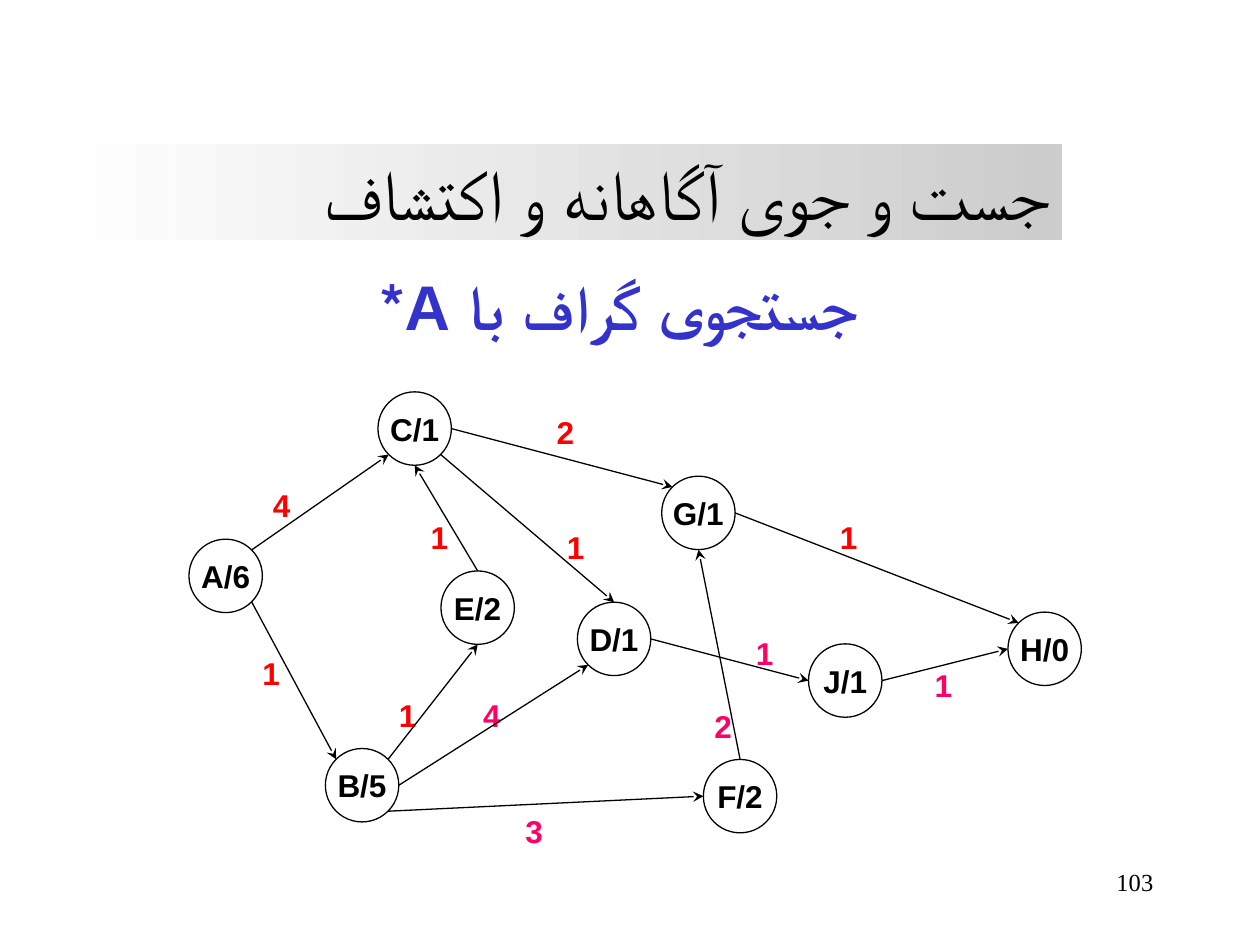
from dataclasses import dataclass
from enum import Enum
from math import sqrt

from lxml.etree import SubElement
from pptx import Presentation
from pptx.dml.color import RGBColor
from pptx.enum.shapes import MSO_CONNECTOR, MSO_SHAPE
from pptx.enum.text import MSO_ANCHOR, MSO_AUTO_SIZE, PP_ALIGN
from pptx.oxml.ns import qn
from pptx.shapes.shapetree import SlideShapes
from pptx.text.text import TextFrame
from pptx.util import Cm, Pt

BLACK = RGBColor(0x00, 0x00, 0x00)
WHITE = RGBColor(0xFF, 0xFF, 0xFF)
GREY = RGBColor(0xCC, 0xCC, 0xCC)
BLUE = RGBColor(0x33, 0x33, 0xCC)
RED = RGBColor(0xFF, 0x00, 0x00)
PINK = RGBColor(0xFF, 0x00, 0x66)

NODE_SIZE = 1.48
DIAGONAL = sqrt(0.5)


class Side(Enum):
    """Point on a node's rim, as a direction from its centre."""
    TOP = (0, -1)
    BOTTOM = (0, 1)
    LEFT = (-1, 0)
    RIGHT = (1, 0)
    TOP_LEFT = (-DIAGONAL, -DIAGONAL)
    TOP_RIGHT = (DIAGONAL, -DIAGONAL)
    BOTTOM_LEFT = (-DIAGONAL, DIAGONAL)
    BOTTOM_RIGHT = (DIAGONAL, DIAGONAL)


@dataclass(frozen=True)
class Node:
    """State with its heuristic value; left and top in cm."""
    name: str
    heuristic: int
    left: float
    top: float

    def rim(self, side: Side) -> tuple[Cm, Cm]:
        radius = NODE_SIZE / 2
        dx, dy = side.value
        return (Cm(self.left + radius * (1 + dx)),
                Cm(self.top + radius * (1 + dy)))


@dataclass(frozen=True)
class Edge:
    """Step between two states; the cost label sits at left, top in cm."""
    start: str
    start_side: Side
    end: str
    end_side: Side
    cost: int
    left: float
    top: float
    color: RGBColor = RED


NODES = {node.name: node for node in (
    Node("A", 6, 3.81, 10.87),
    Node("B", 5, 6.56, 15.09),
    Node("C", 1, 7.62, 7.9),
    Node("D", 1, 11.64, 12.14),
    Node("E", 2, 8.89, 11.51),
    Node("F", 2, 14.18, 15.31),
    Node("G", 1, 13.34, 9.6),
    Node("H", 0, 20.32, 12.34),
    Node("J", 1, 16.3, 12.98),
)}

EDGES = (
    Edge("A", Side.BOTTOM_RIGHT, "B", Side.TOP_LEFT, 1, 5.29, 13.18),
    Edge("A", Side.TOP_RIGHT, "C", Side.BOTTOM_LEFT, 4, 5.5, 9.8),
    Edge("B", Side.RIGHT, "D", Side.BOTTOM_LEFT, 4, 9.74, 14.04, PINK),
    Edge("E", Side.TOP, "C", Side.BOTTOM, 1, 8.68, 10.44),
    Edge("B", Side.BOTTOM_RIGHT, "F", Side.LEFT, 3, 10.59, 16.36, PINK),
    Edge("C", Side.RIGHT, "G", Side.TOP_LEFT, 2, 11.22, 8.33),
    Edge("F", Side.TOP, "G", Side.BOTTOM, 2, 14.4, 14.26, PINK),
    Edge("B", Side.TOP_RIGHT, "E", Side.BOTTOM, 1, 8.04, 14.04),
    Edge("C", Side.BOTTOM_RIGHT, "D", Side.TOP, 1, 11.43, 10.65),
    Edge("D", Side.RIGHT, "J", Side.LEFT, 1, 15.24, 12.78, PINK),
    Edge("J", Side.RIGHT, "H", Side.LEFT, 1, 18.84, 13.42, PINK),
    Edge("G", Side.RIGHT, "H", Side.TOP_LEFT, 1, 16.93, 10.44),
)


def write(frame: TextFrame, text: str, size: int, color: RGBColor,
          align: PP_ALIGN, font: str = "Arial", bold: bool = True,
          rtl: bool = False) -> None:
    frame.word_wrap = True
    paragraph = frame.paragraphs[0]
    paragraph.text = text
    paragraph.alignment = align
    if rtl:
        paragraph._p.get_or_add_pPr().set("rtl", "1")
    paragraph.font.name = font
    paragraph.font.size = Pt(size)
    paragraph.font.bold = bold
    paragraph.font.color.rgb = color


def draw_cost(shapes: SlideShapes, edge: Edge) -> None:
    label = shapes.add_textbox(Cm(edge.left), Cm(edge.top), Cm(0.2), Cm(0.76))
    frame = label.text_frame
    frame.margin_left = frame.margin_right = 0
    frame.margin_top = frame.margin_bottom = 0
    write(frame, str(edge.cost), 18, edge.color, PP_ALIGN.LEFT)


def draw_node(shapes: SlideShapes, node: Node) -> None:
    circle = shapes.add_shape(MSO_SHAPE.OVAL, Cm(node.left), Cm(node.top),
                              Cm(NODE_SIZE), Cm(NODE_SIZE))
    circle.shadow.inherit = False
    circle.fill.solid()
    circle.fill.fore_color.rgb = WHITE
    circle.line.color.rgb = BLACK
    circle.line.width = Pt(0.75)
    write(circle.text_frame, f"{node.name}/{node.heuristic}", 18, BLACK,
          PP_ALIGN.CENTER)
    circle.text_frame.word_wrap = False
    circle.text_frame.vertical_anchor = MSO_ANCHOR.MIDDLE


def draw_arrow(shapes: SlideShapes, edge: Edge) -> None:
    arrow = shapes.add_connector(
        MSO_CONNECTOR.STRAIGHT,
        *NODES[edge.start].rim(edge.start_side),
        *NODES[edge.end].rim(edge.end_side))
    arrow.line.color.rgb = BLACK
    arrow.line.width = Pt(0.75)
    SubElement(arrow.line._get_or_add_ln(), qn("a:tailEnd"), type="stealth")
    SubElement(arrow._element.spPr, qn("a:effectLst"))


def main() -> None:
    prs = Presentation()
    prs.slide_width, prs.slide_height = Cm(25.4), Cm(19.05)
    shapes = prs.slides.add_slide(prs.slide_layouts[6]).shapes

    # Slide number
    number = shapes.add_textbox(Cm(18.2), Cm(17.35), Cm(5.3), Cm(1.27))
    write(number.text_frame, "103", 14, BLACK, PP_ALIGN.RIGHT,
          "Times New Roman", bold=False)

    # Subtitle
    subtitle = shapes.add_textbox(Cm(1.68), Cm(5.26), Cm(21.62), Cm(1.78))
    write(subtitle.text_frame, "جستجوی گراف با A*", 36, BLUE,
          PP_ALIGN.CENTER, rtl=True)

    # Title band, fading from white to grey
    title = shapes.add_shape(MSO_SHAPE.RECTANGLE, Cm(1.92), Cm(2.9),
                             Cm(19.5) + Cm(0.0), Cm(1.95))
    title.left, title.width = Cm(1.1), Cm(20.32)
    title.shadow.inherit = False
    title.line.fill.background()
    title.fill.gradient()
    title.fill.gradient_angle = 0
    for stop, color in zip(title.fill.gradient_stops, (WHITE, GREY)):
        stop.color.rgb = color
    write(title.text_frame, "جست و جوی آگاهانه و اکتشاف", 40, BLACK,
          PP_ALIGN.RIGHT, "Times New Roman", bold=False)
    title.text_frame.vertical_anchor = MSO_ANCHOR.TOP
    title.text_frame.auto_size = MSO_AUTO_SIZE.SHAPE_TO_FIT_TEXT

    # Search graph
    for edge in EDGES:
        draw_cost(shapes, edge)
    for node in NODES.values():
        draw_node(shapes, node)
    for edge in EDGES:
        draw_arrow(shapes, edge)

    prs.save("out.pptx")


if __name__ == "__main__":
    main()
